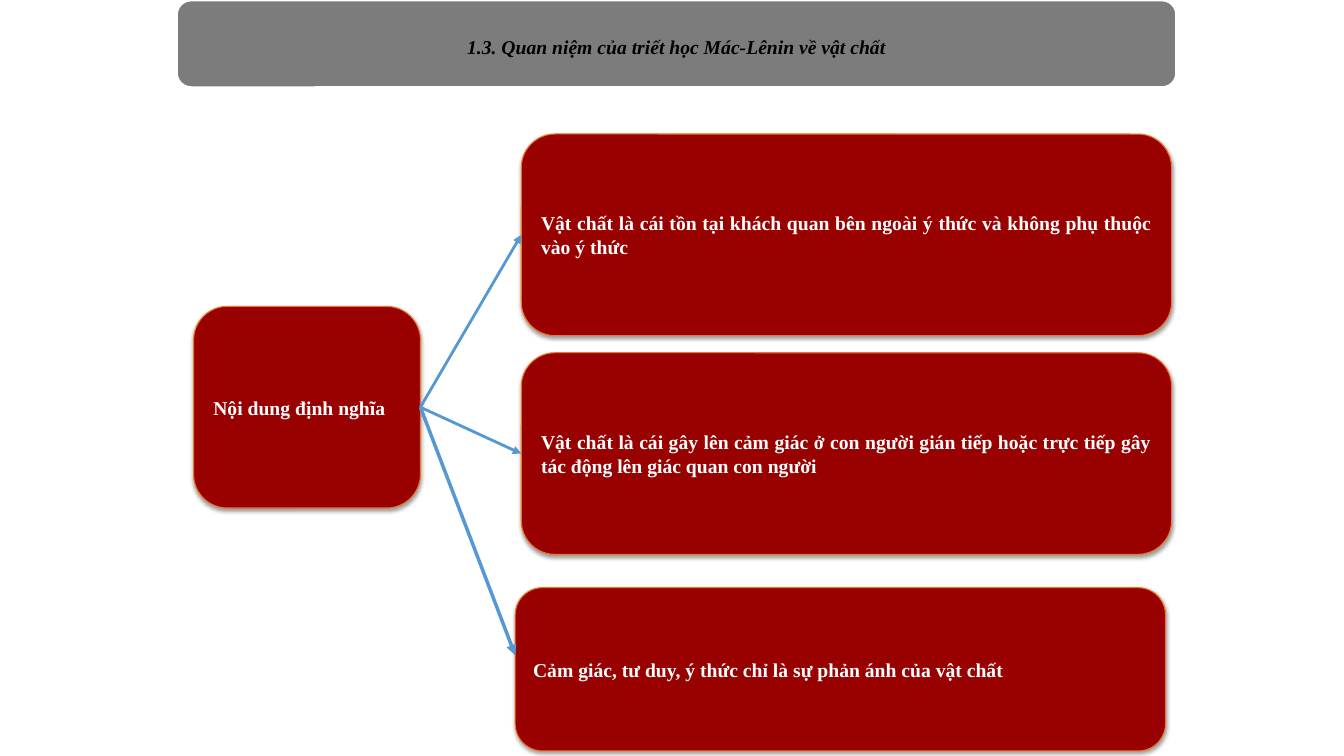
from lxml import etree
from pptx import Presentation
from pptx import util as u
from pptx.dml.color import RGBColor
from pptx.enum import shapes, text
from pptx.oxml import ns

GREY = RGBColor(0x7C, 0x7C, 0x7C)
RED = RGBColor(0x99, 0x00, 0x00)
ORANGE = RGBColor(0xEC, 0x79, 0x2B)
BLUE = RGBColor(0x56, 0x98, 0xD3)
WHITE = RGBColor(0xFF, 0xFF, 0xFF)
BLACK = RGBColor(0x00, 0x00, 0x00)

ROOT = ("Nội dung định nghĩa", (1.92, 3.04, 2.25, 2))
BRANCHES = [
    ("Vật chất là cái tồn tại khách quan bên ngoài ý thức và không phụ thuộc vào ý thức",
     (5.17, 1.33, 6.45, 2)),
    ("Vật chất là cái gây lên cảm giác ở con người gián tiếp hoặc trực tiếp gây "
     "tác động lên giác quan con người", (5.17, 3.5, 6.45, 2)),
    ("Cảm giác, tư duy, ý thức chỉ là sự phản ánh của vật chất", (5.11, 5.83, 6.45, 1.62)),
]


def write(box, words, color=WHITE, italic=False, align=text.PP_ALIGN.JUSTIFY):
    """Put one formatted paragraph in the middle of a box."""
    frame = box.text_frame
    frame.word_wrap = True
    frame.vertical_anchor = text.MSO_ANCHOR.MIDDLE
    para = frame.paragraphs[0]
    para.alignment = align
    span = para.add_run()
    span.text = words
    span.font.name = "Times New Roman"
    span.font.size = u.Pt(14)
    span.font.bold = True
    span.font.italic = italic
    span.font.color.rgb = color


def add_box(page, area, fill, line, width):
    """Add a rounded rectangle without a shadow."""
    box = page.shapes.add_shape(shapes.MSO_SHAPE.ROUNDED_RECTANGLE, *map(u.Inches, area))
    box.fill.solid()
    box.fill.fore_color.rgb = fill
    box.line.color.rgb = line
    box.line.width = u.Pt(width)
    box.shadow.inherit = False
    return box


def add_heading(page, area):
    """Add the grey title bar."""
    bar = add_box(page, area, GREY, WHITE, 2)
    bar.text_frame.margin_top = u.Inches(0.11)
    write(bar, "1.3. Quan niệm của triết học Mác-Lênin về vật chất",
          color=BLACK, italic=True, align=text.PP_ALIGN.CENTER)


def add_card(page, words, area):
    """Add a red card with a soft shadow below it."""
    card = add_box(page, area, RED, ORANGE, 0.75)
    effects = card.element.spPr.find(ns.qn("a:effectLst"))
    shadow = etree.SubElement(effects, ns.qn("a:outerShdw"), blurRad=str(u.Pt(3.1)),
                              dist=str(u.Pt(1.6)), dir="5400000", rotWithShape="0")
    tint = etree.SubElement(shadow, ns.qn("a:srgbClr"), val=str(BLACK))
    etree.SubElement(tint, ns.qn("a:alpha"), val="38000")
    write(card, words)
    return card


def add_arrow(page, root, card, width=2, end_y=None):
    """Join the root's right side to a card's left side, or to a given height on it."""
    arrow = page.shapes.add_connector(
        shapes.MSO_CONNECTOR.STRAIGHT, root.left + root.width, root.top + root.height // 2,
        card.left, end_y or card.top + card.height // 2)
    arrow.begin_connect(root, 3)
    if end_y is None:
        arrow.end_connect(card, 1)
    arrow.line.color.rgb = BLUE
    arrow.line.width = u.Pt(width)
    etree.SubElement(arrow.line._get_or_add_ln(), ns.qn("a:tailEnd"), type="triangle")
    etree.SubElement(arrow.element.spPr, ns.qn("a:effectLst"))


def add_diagram(page):
    """Add the root card, its three branches and the arrows between them."""
    root = add_card(page, *ROOT)
    upper, middle, lower = [add_card(page, *branch) for branch in BRANCHES]
    add_arrow(page, root, upper)
    add_arrow(page, root, lower, width=2.5, end_y=u.Inches(6.5))
    add_arrow(page, root, middle)


def main():
    """Build the deck and save it."""
    deck = Presentation()
    deck.slide_width = u.Inches(13.33)
    deck.slide_height = u.Inches(7.5)
    page = deck.slides.add_slide(deck.slide_layouts[6])
    add_heading(page, (1.75, 0, 9.92, 0.87))
    add_diagram(page)
    deck.save("out.pptx")


if __name__ == "__main__":
    main()
